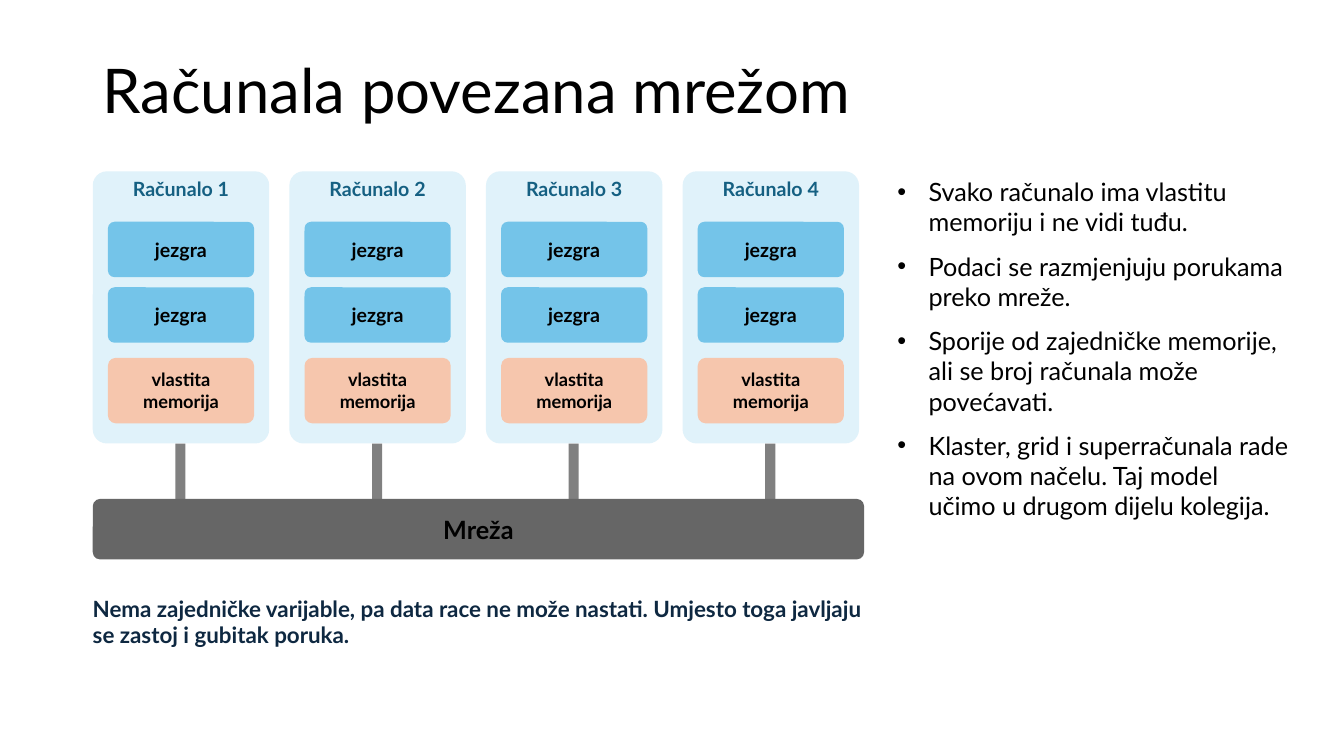
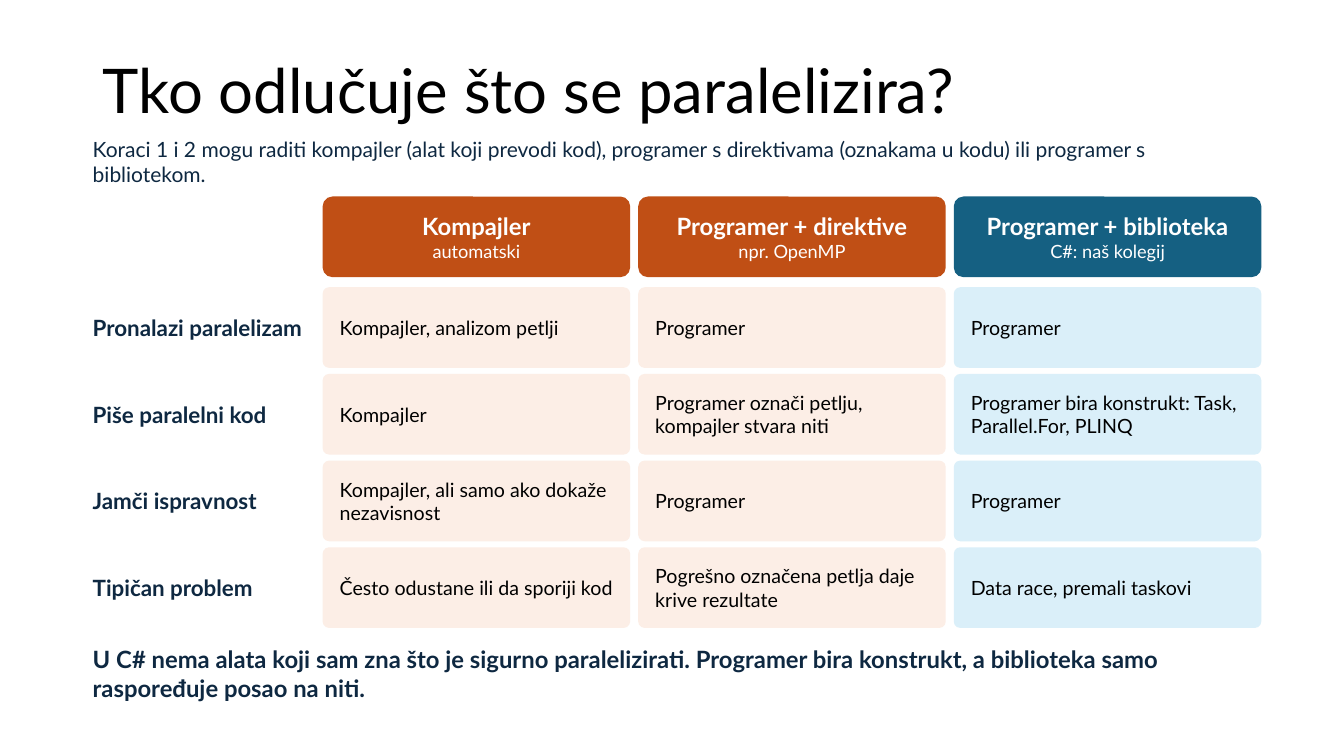
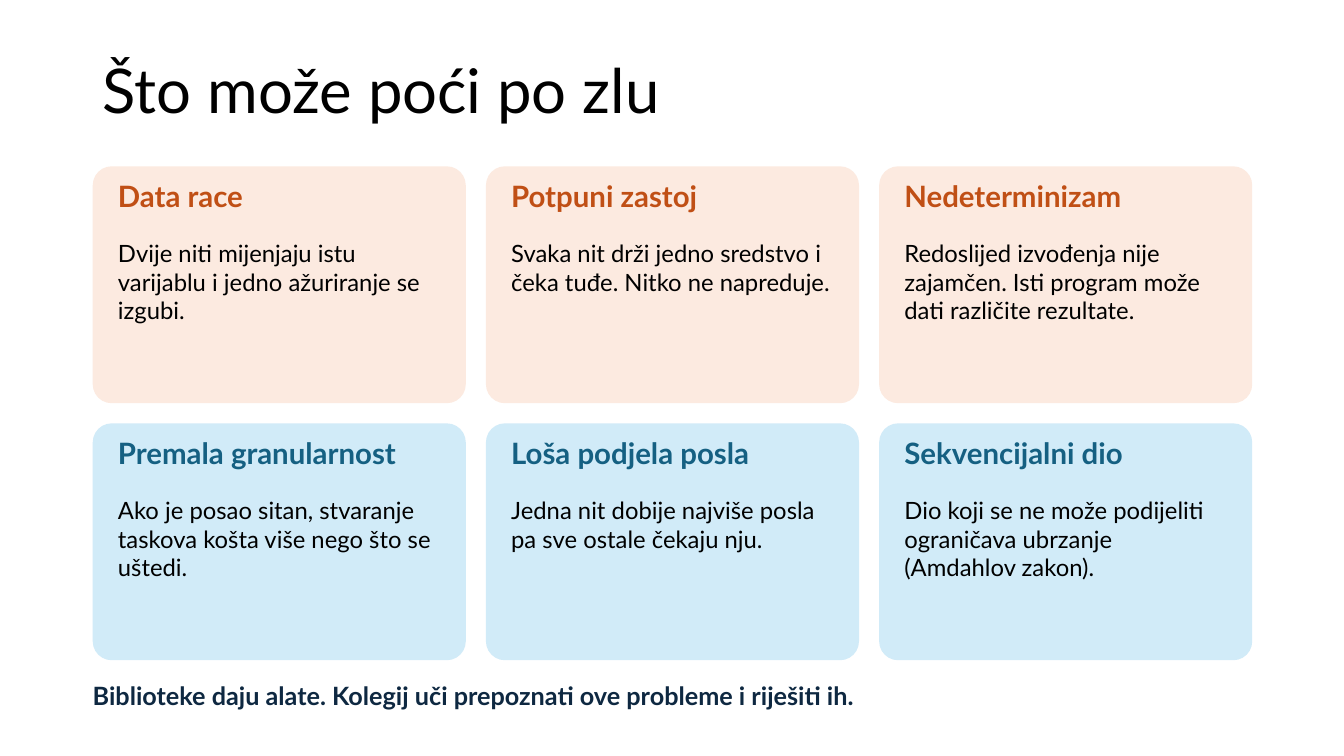
from pptx import Presentation
from pptx.dml.color import RGBColor
from pptx.enum.shapes import MSO_SHAPE
from pptx.enum.text import MSO_ANCHOR, MSO_AUTO_SIZE, PP_ALIGN
from pptx.util import Pt

PX = 9144  # EMU, 100 px to the inch
FONT = "Lato"
LEFT = 92

BLACK = RGBColor(0x00, 0x00, 0x00)
WHITE = RGBColor(0xFF, 0xFF, 0xFF)
NAVY = RGBColor(0x0E, 0x28, 0x41)
BLUE = RGBColor(0x15, 0x60, 0x82)
RUST = RGBColor(0xC0, 0x4F, 0x15)
COMPUTER_FILL = RGBColor(0xE0, 0xF2, 0xFA)
CORE_FILL = RGBColor(0x74, 0xC4, 0xE9)
MEMORY_FILL = RGBColor(0xF6, 0xC6, 0xAD)
LINK_FILL = RGBColor(0x80, 0x80, 0x80)
NETWORK_FILL = RGBColor(0x66, 0x66, 0x66)
RUST_CELL = RGBColor(0xFC, 0xEE, 0xE6)
BLUE_CELL = RGBColor(0xDA, 0xEF, 0xF9)
RUST_CARD = RGBColor(0xFC, 0xEA, 0xE0)
BLUE_CARD = RGBColor(0xD1, 0xEB, 0xF8)


def write(shape, text, size, color=BLACK, bold=False, align=PP_ALIGN.LEFT,
          anchor=MSO_ANCHOR.TOP, inset=(0, 0)):
    """Fill a shape with text in one style; inset is (sides, top and bottom)."""
    frame = shape.text_frame
    frame.text = text
    frame.word_wrap = True
    frame.auto_size = MSO_AUTO_SIZE.NONE
    frame.vertical_anchor = anchor
    frame.margin_left = frame.margin_right = inset[0] * PX
    frame.margin_top = frame.margin_bottom = inset[1] * PX
    for paragraph in frame.paragraphs:
        paragraph.alignment = align
        for run in paragraph.runs:
            run.font.name = FONT
            run.font.size = Pt(size)
            run.font.bold = bold
            run.font.color.rgb = color
    return frame


def add_box(slide, left, top, width, height, fill=None, radius=0.0):
    """Add a filled box, rounded when radius is set, or a text box without fill."""
    place = [length * PX for length in (left, top, width, height)]
    if fill is None:
        return slide.shapes.add_textbox(*place)
    kind = MSO_SHAPE.ROUNDED_RECTANGLE if radius else MSO_SHAPE.RECTANGLE
    shape = slide.shapes.add_shape(kind, *place)
    if radius:
        shape.adjustments[0] = radius
    shape.shadow.inherit = False
    shape.fill.solid()
    shape.fill.fore_color.rgb = fill
    shape.line.fill.background()
    return shape


presentation = Presentation()
presentation.slide_width = 1333 * PX
presentation.slide_height = 750 * PX

slides = []
for layout_index, title_text in (
    (1, "Računala povezana mrežom"),
    (5, "Tko odlučuje što se paralelizira?"),
    (5, "Što može poći po zlu"),
):
    slide = presentation.slides.add_slide(presentation.slide_layouts[layout_index])
    title = slide.shapes.title
    title.left, title.top = LEFT * PX, 40 * PX
    title.width, title.height = 1150 * PX, 106 * PX
    frame = write(title, title_text, 44, anchor=MSO_ANCHOR.MIDDLE, inset=(10, 5))
    frame.paragraphs[0].line_spacing = 0.9
    slides.append(slide)
network_slide, roles_slide, problems_slide = slides

# Slide 1: computers joined by a network
for number in range(1, 5):
    left = LEFT + 195 * (number - 1)
    add_box(network_slide, left, 170, 175, 270, COMPUTER_FILL, 0.08)
    label = add_box(network_slide, left, 175, 175, 35)
    write(label, f"Računalo {number}", 14, BLUE, True, PP_ALIGN.CENTER)
    for top, height, text, size, fill in (
        (220, 55, "jezgra", 14, CORE_FILL),
        (285, 55, "jezgra", 14, CORE_FILL),
        (355, 65, "vlastita memorija", 13, MEMORY_FILL),
    ):
        part = add_box(network_slide, left + 15, top, 145, height, fill, 0.12)
        write(part, text, size, BLACK, True, PP_ALIGN.CENTER, MSO_ANCHOR.MIDDLE, (5, 2))
    add_box(network_slide, left + 82, 440, 10, 55, LINK_FILL)

network = add_box(network_slide, LEFT, 495, 765, 60, NETWORK_FILL, 0.12)
write(network, "Mreža", 18, BLACK, True, PP_ALIGN.CENTER, MSO_ANCHOR.MIDDLE, (5, 2))

body = network_slide.placeholders[1]
body.left, body.top = 890 * PX, 175 * PX
body.width, body.height = 390 * PX, 430 * PX
points = (
    "Svako računalo ima vlastitu memoriju i ne vidi tuđu.",
    "Podaci se razmjenjuju porukama preko mreže.",
    "Sporije od zajedničke memorije, ali se broj računala može povećavati.",
    "Klaster, grid i superračunala rade na ovom načelu. "
    "Taj model učimo u drugom dijelu kolegija.",
)
for paragraph in write(body, "\n".join(points), 18).paragraphs:
    paragraph.space_before = Pt(0)
    paragraph.space_after = Pt(10)
    properties = paragraph._p.get_or_add_pPr()
    properties.set("marL", str(31 * PX))
    properties.set("indent", str(-31 * PX))

note = add_box(network_slide, LEFT, 590, 770, 90)
write(note, "Nema zajedničke varijable, pa data race ne može nastati. "
            "Umjesto toga javljaju se zastoj i gubitak poruka.", 16, NAVY, True)

# Slide 2: who decides, by approach
intro = add_box(roles_slide, LEFT, 135, 1160, 50)
write(intro, "Koraci 1 i 2 mogu raditi kompajler (alat koji prevodi kod), programer s "
             "direktivama (oznakama u kodu) ili programer s bibliotekom.", 15, NAVY)

approaches = (
    ("Kompajler", "automatski", RUST, RUST_CELL),
    ("Programer + direktive", "npr. OpenMP", RUST, RUST_CELL),
    ("Programer + biblioteka", "C#: naš kolegij", BLUE, BLUE_CELL),
)
questions = (
    ("Pronalazi paralelizam",
     ("Kompajler, analizom petlji", "Programer", "Programer")),
    ("Piše paralelni kod",
     ("Kompajler", "Programer označi petlju, kompajler stvara niti",
      "Programer bira konstrukt: Task, Parallel.For, PLINQ")),
    ("Jamči ispravnost",
     ("Kompajler, ali samo ako dokaže nezavisnost", "Programer", "Programer")),
    ("Tipičan problem",
     ("Često odustane ili da sporiji kod",
      "Pogrešno označena petlja daje krive rezultate", "Data race, premali taskovi")),
)
for row, (question, answers) in enumerate(questions):
    label = add_box(roles_slide, LEFT, 285 + 86 * row, 220, 80)
    write(label, question, 16, NAVY, True, anchor=MSO_ANCHOR.MIDDLE)

for column, (name, detail, header_fill, cell_fill) in enumerate(approaches):
    left = 320 + 313 * column
    header = add_box(roles_slide, left, 195, 305, 80, header_fill, 0.12)
    frame = write(header, f"{name}\n{detail}", 17, WHITE, True, PP_ALIGN.CENTER,
                  MSO_ANCHOR.MIDDLE, (15, 0))
    detail_font = frame.paragraphs[1].runs[0].font
    detail_font.size = Pt(13)
    detail_font.bold = False
    for row, (question, answers) in enumerate(questions):
        cell = add_box(roles_slide, left, 285 + 86 * row, 305, 80, cell_fill, 0.08)
        write(cell, answers[column], 14, anchor=MSO_ANCHOR.MIDDLE, inset=(15, 0))

conclusion = add_box(roles_slide, LEFT, 640, 1160, 70)
write(conclusion, "U C# nema alata koji sam zna što je sigurno paralelizirati. Programer "
                  "bira konstrukt, a biblioteka samo raspoređuje posao na niti.",
      17, NAVY, True)

# Slide 3: what can go wrong
problems = (
    ("Data race", "Dvije niti mijenjaju istu varijablu i jedno ažuriranje se izgubi."),
    ("Potpuni zastoj", "Svaka nit drži jedno sredstvo i čeka tuđe. Nitko ne napreduje."),
    ("Nedeterminizam",
     "Redoslijed izvođenja nije zajamčen. Isti program može dati različite rezultate."),
    ("Premala granularnost",
     "Ako je posao sitan, stvaranje taskova košta više nego što se uštedi."),
    ("Loša podjela posla", "Jedna nit dobije najviše posla pa sve ostale čekaju nju."),
    ("Sekvencijalni dio",
     "Dio koji se ne može podijeliti ograničava ubrzanje (Amdahlov zakon)."),
)
row_colors = ((RUST, RUST_CARD), (BLUE, BLUE_CARD))
for index, (name, description) in enumerate(problems):
    row, column = divmod(index, 3)
    left, top = LEFT + 390 * column, 165 + 255 * row
    name_color, card_fill = row_colors[row]
    add_box(problems_slide, left, top, 370, 235, card_fill, 0.08)
    heading = add_box(problems_slide, left + 25, top + 12, 320, 55)
    write(heading, name, 21, name_color, True)
    explanation = add_box(problems_slide, left + 25, top + 72, 320, 155)
    write(explanation, description, 17)

closing = add_box(problems_slide, LEFT, 675, 1150, 45)
write(closing, "Biblioteke daju alate. Kolegij uči prepoznati ove probleme i riješiti ih.",
      18, NAVY, True)

presentation.save("out.pptx")
